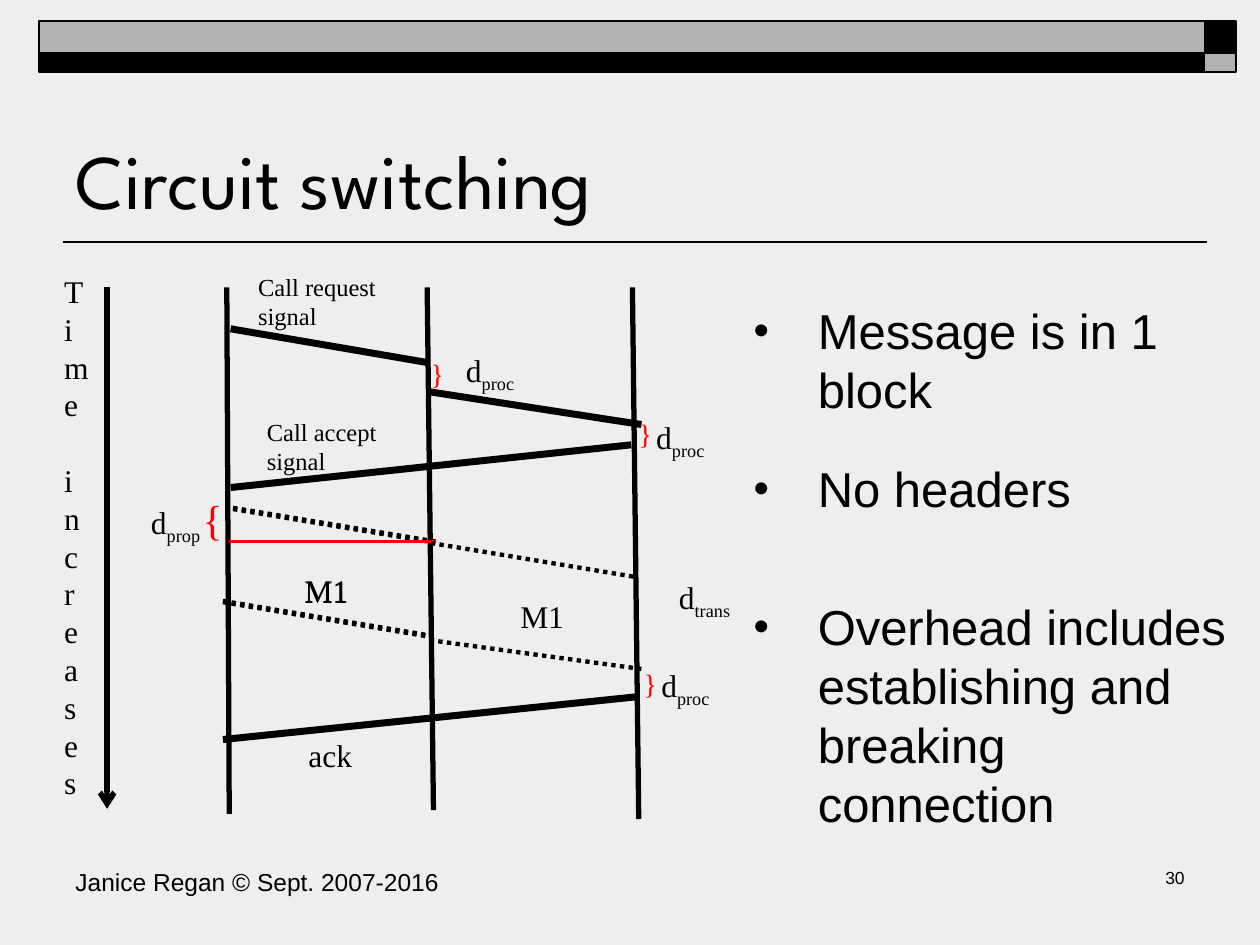
from dataclasses import dataclass
from typing import NamedTuple

from lxml.etree import SubElement
from pptx import Presentation
from pptx.dml.color import RGBColor
from pptx.enum.dml import MSO_LINE
from pptx.enum.shapes import MSO_CONNECTOR, MSO_SHAPE
from pptx.enum.text import MSO_ANCHOR, MSO_AUTO_SIZE, PP_ALIGN
from pptx.oxml.ns import qn
from pptx.util import Pt


@dataclass(frozen=True)
class Theme:
    background: RGBColor = RGBColor(0xEE, 0xEE, 0xEE)
    ink: RGBColor = RGBColor(0, 0, 0)
    grey: RGBColor = RGBColor(0xB2, 0xB2, 0xB2)
    accent: RGBColor = RGBColor(0xFF, 0, 0)
    title_font: str = "League Spartan"
    body_font: str = "Arial"
    diagram_font: str = "Times New Roman"
    title: float = 44
    body: float = 28
    large_brace: float = 24
    label: float = 18
    brace: float = 16
    small: float = 14
    number: float = 10


THEME = Theme()


class Stroke(NamedTuple):
    x1: float
    y1: float
    x2: float
    y2: float
    width: float
    color: RGBColor = THEME.ink
    dotted: bool = False
    arrow: bool = False


class Label(NamedTuple):
    x: float
    y: float
    width: float
    height: float
    text: str
    sub: str = ""
    size: float = THEME.label
    color: RGBColor = THEME.ink
    font: str = THEME.diagram_font
    align: PP_ALIGN = PP_ALIGN.LEFT
    grow: bool = True
    gap: float = 0


class Bullet(NamedTuple):
    text: str
    space_before: float


def style(paragraph, font: str, size: float, color: RGBColor) -> None:
    paragraph.font.name = font
    paragraph.font.size = Pt(size)
    paragraph.font.color.rgb = color


def place(shape, x: float, y: float, width: float, height: float) -> None:
    shape.left, shape.top = Pt(x), Pt(y)
    shape.width, shape.height = Pt(width), Pt(height)


def draw_stroke(slide, stroke: Stroke) -> None:
    connector = slide.shapes.add_connector(
        MSO_CONNECTOR.STRAIGHT,
        Pt(stroke.x1), Pt(stroke.y1), Pt(stroke.x2), Pt(stroke.y2))
    connector.line.color.rgb = stroke.color
    connector.line.width = Pt(stroke.width)
    if stroke.dotted:
        connector.line.dash_style = MSO_LINE.ROUND_DOT
        connector.line._ln.find(qn("a:prstDash")).set("val", "sysDot")
    if stroke.arrow:
        SubElement(connector.line._ln, qn("a:tailEnd"), type="arrow")
    SubElement(connector._element.spPr, qn("a:effectLst"))


def draw_bar(slide, x: float, y: float, width: float, height: float,
             color: RGBColor) -> None:
    bar = slide.shapes.add_shape(
        MSO_SHAPE.RECTANGLE, Pt(x), Pt(y), Pt(width), Pt(height))
    bar.shadow.inherit = False
    bar.fill.solid()
    bar.fill.fore_color.rgb = color
    bar.line.color.rgb = THEME.ink
    bar.line.width = Pt(1)


def draw_label(slide, label: Label) -> None:
    frame = slide.shapes.add_textbox(
        Pt(label.x), Pt(label.y), Pt(label.width), Pt(label.height)).text_frame
    frame.word_wrap = True
    if label.grow:
        frame.auto_size = MSO_AUTO_SIZE.SHAPE_TO_FIT_TEXT
    for index, line in enumerate(label.text.split("\n")):
        paragraph = frame.paragraphs[0] if index == 0 else frame.add_paragraph()
        paragraph.add_run().text = line
        paragraph.alignment = label.align
        if index:
            paragraph.space_before = Pt(label.gap)
        style(paragraph, label.font, label.size, label.color)
    if label.sub:
        subscript = paragraph.add_run()
        subscript.text = label.sub
        subscript._r.get_or_add_rPr().set("baseline", "-25000")


def fill_bullets(frame, bullets: list[Bullet]) -> None:
    for index, bullet in enumerate(bullets):
        paragraph = frame.paragraphs[0] if index == 0 else frame.add_paragraph()
        paragraph.text = bullet.text
        properties = paragraph._p.get_or_add_pPr()
        properties.set("marL", str(Pt(36.72)))
        properties.set("indent", str(Pt(-36.72)))
        bullet_color = SubElement(properties, qn("a:buClr"))
        SubElement(bullet_color, qn("a:srgbClr"), val=str(THEME.ink))
        SubElement(properties, qn("a:buSzPct"), val="90000")
        SubElement(properties, qn("a:buFont"), typeface=THEME.body_font)
        SubElement(properties, qn("a:buChar"), char="•")
        paragraph.space_before = Pt(bullet.space_before)
        style(paragraph, THEME.body_font, THEME.body, THEME.ink)


def delay(x: float, y: float, kind: str) -> Label:
    return Label(x, y, 52.6, 23, "d", kind)


def brace(x: float, y: float, text: str = "}", size: float = THEME.brace) -> Label:
    return Label(x, y, 46.8, 27, text, size=size, color=THEME.accent)


def message(x: float, y: float) -> Label:
    return Label(x, y, 41.8, 13, "M1")


def main() -> None:
    deck = Presentation()
    deck.slide_width, deck.slide_height = Pt(720), Pt(540)
    slide = deck.slides.add_slide(deck.slide_layouts[1])
    slide.background.fill.solid()
    slide.background.fill.fore_color.rgb = THEME.background

    # Header bars and title rule
    draw_stroke(slide, Stroke(690, 138.2, 36, 138.2, 1))
    for y, height, wide, corner in ((12.2, 18, THEME.grey, THEME.ink),
                                    (30.2, 10.8, THEME.ink, THEME.grey)):
        draw_bar(slide, 22.3, y, 666, height, wide)
        draw_bar(slide, 688.3, y, 18, height, corner)

    # Title and list
    title, body = slide.shapes.title, slide.placeholders[1]
    place(title, 36, 42, 648, 90)
    title.text_frame.text = "Circuit switching"
    title.text_frame.vertical_anchor = MSO_ANCHOR.BOTTOM
    title.text_frame.auto_size = MSO_AUTO_SIZE.NONE
    heading = title.text_frame.paragraphs[0]
    heading.alignment = PP_ALIGN.LEFT
    style(heading, THEME.title_font, THEME.title, THEME.ink)

    place(body, 423.4, 146.9, 291.6, 338.4)
    body.text_frame.auto_size = MSO_AUTO_SIZE.NONE
    body.text_frame.margin_top = Pt(25)
    fill_bullets(body.text_frame, [
        Bullet("Message is in 1 block", 0),
        Bullet("No headers", 23),
        Bullet("Overhead includes establishing and breaking connection", 45.3),
    ])

    # Time axis, node lines, messages and signals
    first_hop = [Stroke(133.2, 290.2, 249.8, 309.6, 2.5, dotted=True),
                 Stroke(127.4, 343.4, 244.1, 362.9, 2.5, dotted=True)]
    strokes = [
        Stroke(61.2, 164.2, 61.2, 462.2, 3, arrow=True),
        Stroke(129.6, 164.2, 131, 465.1, 3),
        Stroke(244.1, 164.2, 247.7, 463, 3),
        Stroke(361.4, 164.2, 365, 468, 3),
        *first_hop,
        *(hop._replace(y1=hop.y1 + 0.7, y2=hop.y2 + 0.7) for hop in first_hop),
        Stroke(131, 309.6, 249.1, 309.6, 1.5, THEME.accent),
        Stroke(246.2, 310.3, 363.6, 329.8, 2.5, dotted=True),
        Stroke(245.5, 365.8, 366.5, 382.3, 2.5, dotted=True),
        Stroke(131.8, 187.9, 245.5, 207.4, 4),
        Stroke(245.5, 223.9, 366.5, 242.6, 4),
        Stroke(131.8, 278.6, 360.7, 254.2, 4),
        Stroke(363.6, 398.2, 127.4, 422.6, 4),
    ]
    for stroke in strokes:
        draw_stroke(slide, stroke)

    # Diagram labels and footer
    labels = [
        Label(29.5, 151.9, 20.2, 180.7, "Time\nincreases", gap=21.6),
        delay(367.9, 235.4, "proc"), delay(259.2, 197.3, "proc"),
        delay(370.8, 377.3, "proc"), delay(79.2, 283.7, "prop"),
        delay(380.9, 326.9, "trans"),
        brace(108.7, 278.6, "{", THEME.large_brace),
        brace(357.8, 234.7), brace(239, 200.2), brace(360.7, 377.3),
        message(167, 322.6), message(167, 323.3), message(290.2, 337.7),
        Label(140.4, 151.9, 90.7, 41, "Call request signal", size=THEME.small),
        Label(145.4, 234.7, 79.9, 41, "Call accept signal", size=THEME.small),
        Label(169.2, 416.9, 52.6, 28.8, "ack"),
        Label(36, 491.8, 345.6, 36, "Janice Regan © Sept. 2007-2016",
              size=THEME.small, font=THEME.body_font, grow=False),
        Label(534.2, 491.8, 149.8, 36, "30", size=THEME.number,
              font=THEME.body_font, align=PP_ALIGN.RIGHT, grow=False),
    ]
    for label in labels:
        draw_label(slide, label)

    deck.save("out.pptx")


if __name__ == "__main__":
    main()
